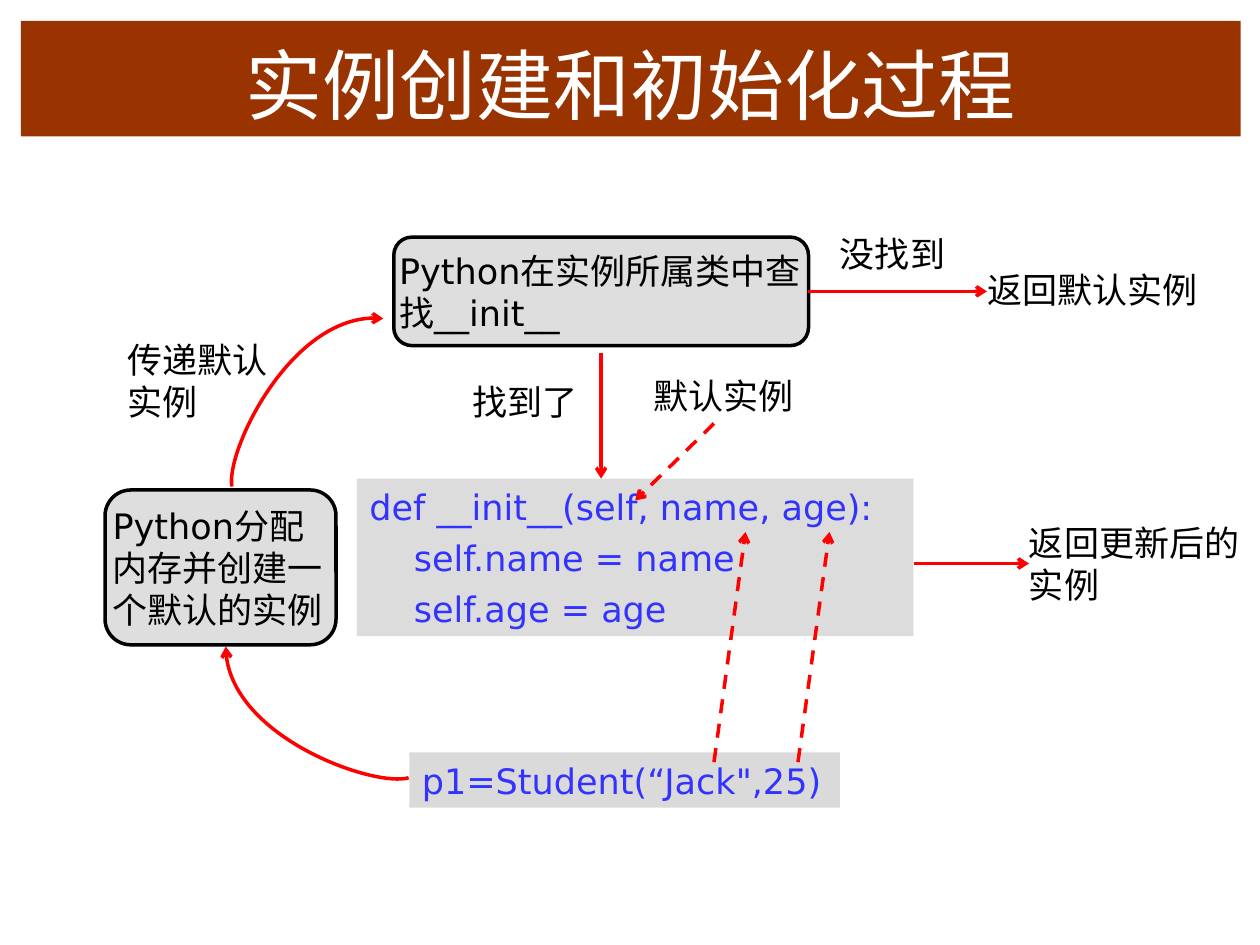
from dataclasses import dataclass

from lxml import etree
from pptx import Presentation
from pptx.dml.color import RGBColor
from pptx.enum.dml import MSO_LINE
from pptx.enum.shapes import MSO_CONNECTOR, MSO_SHAPE
from pptx.enum.text import MSO_ANCHOR, MSO_AUTO_SIZE, PP_ALIGN
from pptx.oxml.ns import qn
from pptx.util import Pt

RECT = MSO_SHAPE.RECTANGLE
ROUND = MSO_SHAPE.FLOWCHART_ALTERNATE_PROCESS
STRAIGHT = MSO_CONNECTOR.STRAIGHT
DASH = MSO_LINE.DASH
TOP, MIDDLE, BOTTOM = MSO_ANCHOR.TOP, MSO_ANCHOR.MIDDLE, MSO_ANCHOR.BOTTOM
CENTER = PP_ALIGN.CENTER
FIXED = MSO_AUTO_SIZE.NONE

LATIN, HAN = "DejaVu Sans", "Noto Sans CJK SC"
BLACK, WHITE, RED = "000000", "FFFFFF", "FF0000"
BLUE, GRAY, BROWN = "3333FF", "777777", "993300"

Point = tuple[float, float]
Box = tuple[float, float, float, float]


@dataclass
class Panel:
    box: Box
    lines: list[str]
    alpha: int
    code: bool = False


@dataclass
class Label:
    box: Box
    text: str
    inset: Point = (0, 0)


@dataclass
class Arrow:
    start: Point
    end: Point
    dashed: bool = False


PANELS = [
    Panel((234, 430, 246, 31.5), ['p1=Student(“Jack",25)'], 27, True),
    Panel((60, 280, 132, 88.5), ["Python分配内存并创建一个默认的实例"], 24),
    Panel((225, 135.5, 237, 62), ["Python在实例所属类中查找__init__"], 24),
    Panel((204, 273.5, 318, 90),
          ["def __init__(self, name, age):",
           "    self.name = name",
           "    self.age = age"], 25, True),
]
LABELS = [
    Label((66, 190, 102, 55), "传递默认实例", (7.2, 3.6)),
    Label((480, 133, 66, 24), "没找到"),
    Label((564, 153.5, 132, 24), "返回默认实例"),
    Label((270, 217.5, 66, 24), "找到了"),
    Label((373.5, 214, 86, 24), "默认实例"),
    Label((588, 298, 132, 48), "返回更新后的实例"),
]
ARROWS = [
    Arrow((462, 166.5), (564, 166.5)),
    Arrow((343.5, 201.5), (343.5, 273.5)),
    Arrow((522, 322), (588, 322)),
    Arrow((408, 242), (363, 286), True),
    Arrow((408, 435.5), (426, 304), True),
    Arrow((456, 435.5), (474, 304), True),
]
# Start, two control points, end
CURVES = [
    [(233.5, 444.5), (214.5, 450), (129, 420.5), (129, 369.5)],
    [(132.5, 278), (129, 258), (168, 176.5), (219, 182)],
]


def color(code: str) -> RGBColor:
    return RGBColor.from_string(code)


def place(box: Box) -> list[int]:
    return [Pt(v) for v in box]


def paint(shape, code: str, alpha: int = 100) -> None:
    shape.fill.solid()
    shape.fill.fore_color.rgb = color(code)
    if alpha < 100:
        tone = shape.element.spPr.find(qn("a:solidFill"))[0]
        etree.SubElement(tone, qn("a:alpha"), val=str(alpha * 1000))


def setup(frame, inset: Point, anchor) -> None:
    frame.word_wrap = True
    frame.auto_size = FIXED
    frame.vertical_anchor = anchor
    frame.margin_left = frame.margin_right = Pt(inset[0])
    frame.margin_top = frame.margin_bottom = Pt(inset[1])


def write(para, text: str, tint: str, size: float = 20,
          face: str = LATIN, align=PP_ALIGN.LEFT) -> None:
    para.alignment = align
    run = para.add_run()
    run.text = text
    font = run.font
    font.size = Pt(size)
    font.color.rgb = color(tint)
    font.name = face
    etree.SubElement(run.element.rPr if hasattr(run, "element")
                     else run._r.rPr, qn("a:ea"), typeface=HAN)


def stroke(shape, dashed: bool = False) -> None:
    """Red line with an open arrowhead and no shadow."""
    shape.line.color.rgb = color(RED)
    shape.line.width = Pt(2)
    if dashed:
        shape.line.dash_style = DASH
    props = shape.element.spPr
    etree.SubElement(props.find(qn("a:ln")), qn("a:tailEnd"), type="arrow")
    etree.SubElement(props, qn("a:effectLst"))


def add_panel(shapes, item: Panel) -> None:
    shape = shapes.add_shape(RECT if item.code else ROUND, *place(item.box))
    shape.shadow.inherit = False
    paint(shape, GRAY, item.alpha)
    if item.code:
        shape.line.fill.background()
    else:
        shape.line.color.rgb = color(BLACK)
        shape.line.width = Pt(2)
    frame = shape.text_frame
    setup(frame, (7.2 if item.code else 0, 3.6), MIDDLE)
    for i, text in enumerate(item.lines):
        para = frame.add_paragraph() if i else frame.paragraphs[0]
        if i:
            para.space_before = Pt(5)
        write(para, text, BLUE if item.code else BLACK)


def add_label(shapes, item: Label) -> None:
    frame = shapes.add_textbox(*place(item.box)).text_frame
    setup(frame, item.inset, TOP)
    write(frame.paragraphs[0], item.text, BLACK)


def add_arrow(shapes, item: Arrow) -> None:
    ends = place((*item.start, *item.end))
    stroke(shapes.add_connector(STRAIGHT, *ends), item.dashed)


def add_curve(shapes, points: list[Point]) -> None:
    start, *rest = [(Pt(x), Pt(y)) for x, y in points]
    pen = shapes.build_freeform(*start)
    pen.add_line_segments(rest, close=False)
    shape = pen.convert_to_shape()
    # Turn the three segments into one cubic curve
    steps = list(shape.element.iter(qn("a:lnTo")))
    curve = etree.SubElement(steps[0].getparent(), qn("a:cubicBezTo"))
    for step in steps:
        curve.append(step[0])
        step.getparent().remove(step)
    shape.fill.background()
    stroke(shape)


def main() -> None:
    deck = Presentation()
    deck.slide_width, deck.slide_height = Pt(720), Pt(540)
    slide = deck.slides.add_slide(deck.slide_layouts[5])
    shapes = slide.shapes

    # Title bar
    title = shapes.title
    title.left, title.top, title.width, title.height = place((12, 12, 697, 66))
    paint(title, BROWN)
    setup(title.text_frame, (7.2, 3.6), BOTTOM)
    write(title.text_frame.paragraphs[0], "实例创建和初始化过程", WHITE, 44,
          HAN, CENTER)

    # Flow chart
    for draw, items in ((add_panel, PANELS), (add_curve, CURVES),
                        (add_label, LABELS), (add_arrow, ARROWS)):
        for item in items:
            draw(shapes, item)

    deck.save("out.pptx")


if __name__ == "__main__":
    main()
